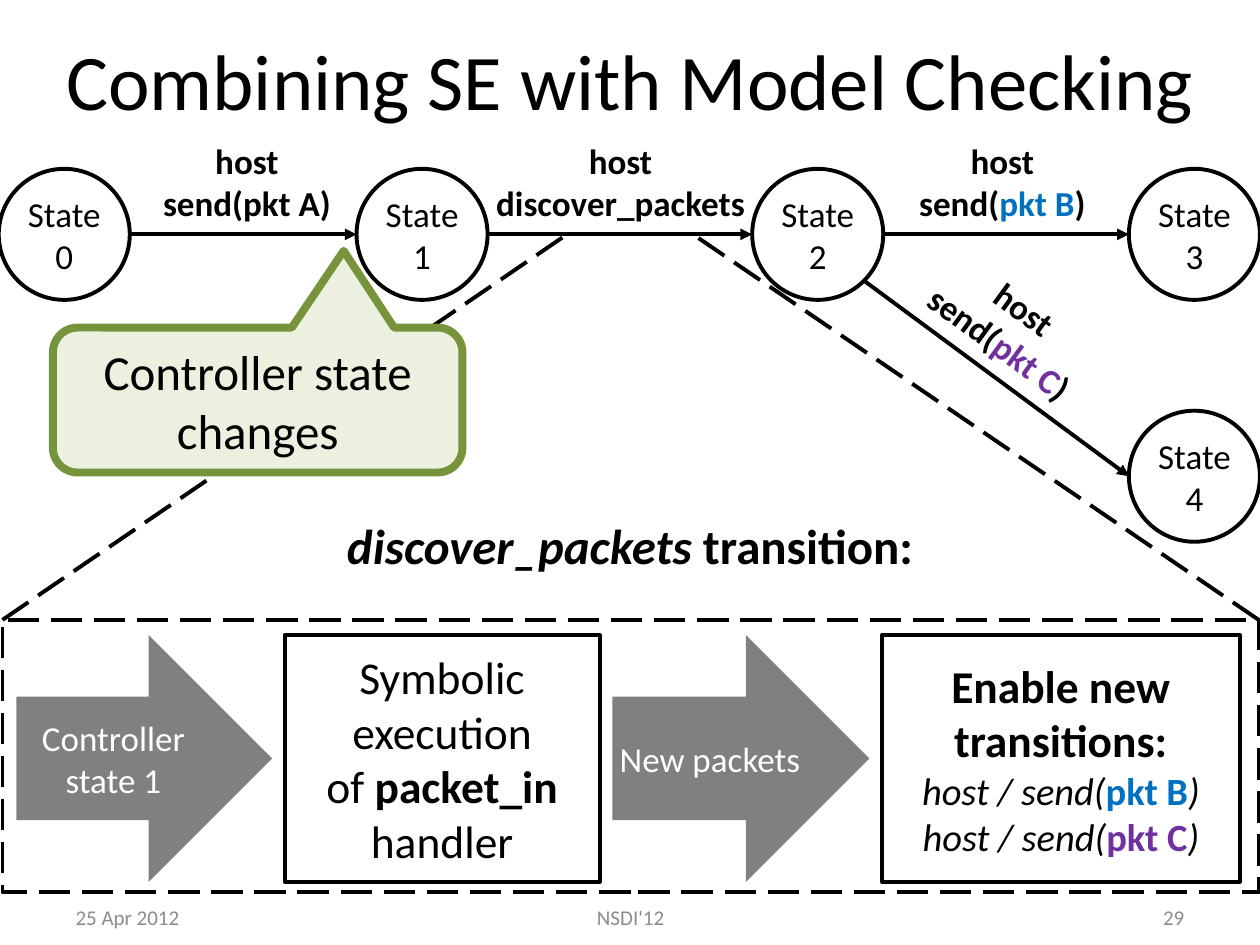
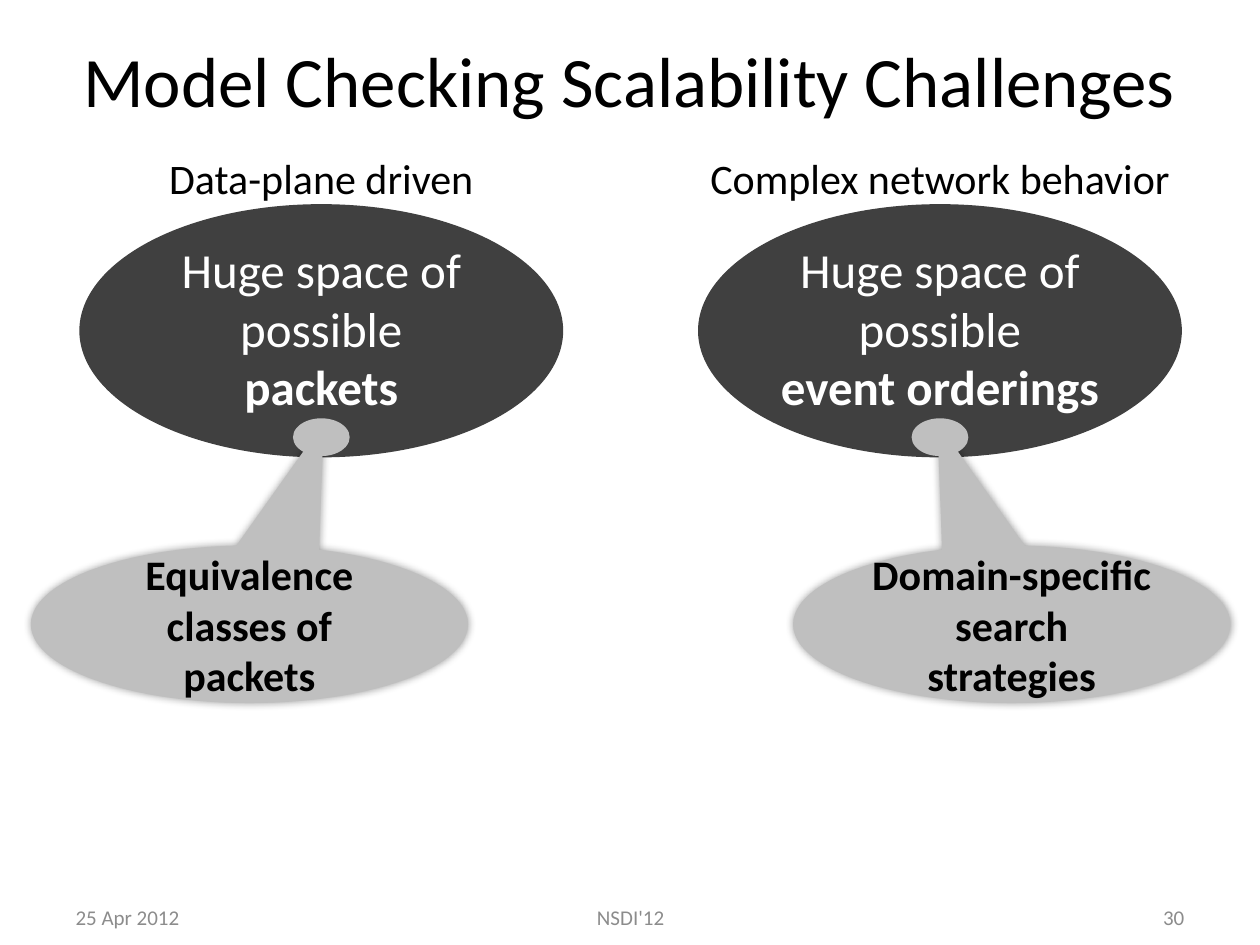
from copy import deepcopy
from dataclasses import dataclass

from lxml.etree import SubElement
from pptx import Presentation
from pptx.dml.color import RGBColor
from pptx.enum.dml import MSO_LINE_DASH_STYLE as Dash
from pptx.enum.shapes import MSO_CONNECTOR as Connector, MSO_SHAPE as Preset
from pptx.enum.text import MSO_ANCHOR as Anchor, MSO_AUTO_SIZE as Fit, PP_ALIGN as Align
from pptx.oxml.ns import qn
from pptx.util import Inches, Pt


@dataclass(frozen=True)
class Theme:
    """Colours, type sizes and line widths of the deck."""
    font: str = "Calibri"
    ink: str = "000000"
    paper: str = "FFFFFF"
    footer: str = "8C8C8C"
    arrow: str = "808080"
    problem: str = "404040"
    remedy: str = "BFBFBF"
    note: str = "EBF1DE"
    note_edge: str = "77933C"
    packet_b: str = "0070C0"
    packet_c: str = "7030A0"
    small: float = 12
    label: float = 20
    call: float = 22
    heading: float = 24
    step: float = 26
    large: float = 28
    line: float = 2.25
    thick: float = 4.5


@dataclass(frozen=True)
class Box:
    """A rectangle on a grid of 100 columns by 75 rows."""
    left: float
    top: float
    width: float
    height: float

    def inner(self, left, top, width, height):
        """Return a box placed relative to this one."""
        return Box(self.left + left, self.top + top, width, height)

    def emu(self):
        """Return the box as slide lengths."""
        return [grid(value) for value in (self.left, self.top, self.width, self.height)]


@dataclass(frozen=True)
class Span:
    """A stretch of text with one format."""
    text: str
    size: float
    color: str = Theme.ink
    bold: bool = False
    italic: bool = False


THEME = Theme()
CELL = 0.1
COLUMNS, ROWS = 100, 75
STATE_SIZE = 10.4
TIGHT = (0, 0.18)
SNUG = (0.04, 0.18)
WIDE = (0.36, 0.18)
NORMAL = (0.1, 0.05)


def grid(cells):
    """Convert grid cells to a slide length."""
    return Inches(cells * CELL)


def write(shape, spans, inset=NORMAL, align=Align.CENTER, anchor=Anchor.MIDDLE, wrap=True):
    """Fill a shape with one paragraph of formatted spans."""
    frame = shape.text_frame
    frame.text = ""
    frame.word_wrap = wrap
    frame.auto_size = Fit.NONE if wrap else Fit.SHAPE_TO_FIT_TEXT
    frame.vertical_anchor = anchor
    frame.margin_left = frame.margin_right = Inches(inset[0])
    frame.margin_top = frame.margin_bottom = Inches(inset[1])
    para = frame.paragraphs[0]
    para.alignment = align
    for span in spans:
        for number, line in enumerate(span.text.split("\n")):
            if number:
                para.add_line_break()
            if line:
                run = para.add_run()
                run.text = line
                font = run.font
                font.name, font.size = THEME.font, Pt(span.size)
                font.bold, font.italic = span.bold, span.italic
                font.color.rgb = RGBColor.from_string(span.color)


def draw(page, preset, box, fill=None, edge=None, width=THEME.line):
    """Add a preset shape with flat fill and outline."""
    shape = page.shapes.add_shape(preset, *box.emu())
    shape.shadow.inherit = False
    if fill:
        shape.fill.solid()
        shape.fill.fore_color.rgb = RGBColor.from_string(fill)
    else:
        shape.fill.background()
    if edge:
        shape.line.color.rgb = RGBColor.from_string(edge)
        shape.line.width = Pt(width)
    else:
        shape.line.fill.background()
    return shape


def label(page, box, spans, inset=NORMAL):
    """Add a centred text box that keeps its line breaks."""
    text = page.shapes.add_textbox(*box.emu())
    write(text, spans, inset, anchor=Anchor.TOP, wrap=False)
    return text


def connect(page, start, end, dashed=False):
    """Add a dashed line, or a solid one with an arrowhead."""
    points = [grid(value) for value in (*start, *end)]
    line = page.shapes.add_connector(Connector.STRAIGHT, *points)
    line.line.color.rgb = RGBColor.from_string(THEME.ink)
    line.line.width = Pt(THEME.line)
    if dashed:
        line.line.dash_style = Dash.LONG_DASH
    else:
        SubElement(line.line._get_or_add_ln(), qn("a:tailEnd"), type="triangle")
    SubElement(line._element.spPr, qn("a:effectLst"))


def add_glow(shape):
    """Give a shape a soft shadow on all sides."""
    effects = shape._element.spPr.find(qn("a:effectLst"))
    shadow = SubElement(effects, qn("a:outerShdw"), blurRad=str(Pt(5)), dist="0", dir="0")
    color = SubElement(shadow, qn("a:srgbClr"), val=THEME.ink)
    SubElement(color, qn("a:alpha"), val="40000")


def start_page(deck, title, size, number, width):
    """Add a slide with its title and three footers."""
    layout = deck.slide_layouts.get_by_name("Title Only")
    page = deck.slides.add_slide(layout)
    heading = page.shapes.title
    frame = Box((COLUMNS - width) / 2, 0, width, 12.5)
    heading.left, heading.top, heading.width, heading.height = frame.emu()
    write(heading, [Span(title, size)])
    footers = {
        10: ("25 Apr 2012", Align.LEFT, Box(5, 70.8, 23.3, 4)),
        11: ("NSDI'12", Align.CENTER, Box(34.2, 70.8, 31.7, 4)),
        12: (str(number), Align.RIGHT, Box(71.7, 70.8, 23.3, 4)),
    }
    for holder in layout.placeholders:
        if holder.placeholder_format.idx in footers:
            page.shapes._spTree.append(deepcopy(holder._element))
    for index, (text, align, box) in footers.items():
        footer = page.placeholders[index]
        footer.left, footer.top, footer.width, footer.height = box.emu()
        write(footer, [Span(text, THEME.small, THEME.footer)], align=align)
    return page


def send(packet, color, size=THEME.label):
    """Return the spans of a host sending a coloured packet."""
    return [Span("host\nsend(", size, bold=True), Span(packet, size, color, bold=True),
            Span(")", size, bold=True)]


def state_chain(page, box):
    """Draw the states and the transitions between them."""
    radius = STATE_SIZE / 2
    centres = [(box.left + x, box.top + y) for x, y in
               ((5.1, 9.3), (33.5, 9.3), (64.9, 9.3), (94.8, 9.3), (94.8, 28.5))]
    for number, (x, y) in enumerate(centres):
        state = draw(page, Preset.FLOWCHART_CONNECTOR,
                     Box(x - radius, y - radius, STATE_SIZE, STATE_SIZE), THEME.paper, THEME.ink)
        write(state, [Span(f"State\n{number}", THEME.label)], TIGHT)
    for (x, y), (next_x, next_y) in zip(centres[:3], centres[1:4]):
        connect(page, (x + radius, y), (next_x - radius, next_y))
    diagonal = radius * 0.71
    x, y = centres[2]
    end_x, end_y = centres[4]
    connect(page, (x + diagonal, y + diagonal), (end_x - radius, end_y))

    transitions = (
        (19.6, 0, 20.8, 0, [Span("host\nsend(pkt A)", THEME.label, bold=True)]),
        (49.25, 0, 27.3, 0, [Span("host\ndiscover_packets", THEME.label, bold=True)]),
        (79.55, 0, 20.7, 0, send("pkt B", THEME.packet_b)),
        (80.3, 11.4, 20.6, 36.2, send("pkt C", THEME.packet_c)),
    )
    for centre, top, width, angle, spans in transitions:
        text = label(page, box.inner(centre - width / 2, top, width, 10.4), spans, WIDE)
        text.rotation = angle


def transition_panel(page, box, source):
    """Draw the enlarged transition, zoomed out of its source span."""
    right = box.left + box.width
    left_source, right_source, level = source
    connect(page, (box.left, box.top), (left_source, level), dashed=True)
    connect(page, (right, box.top), (right_source, level), dashed=True)
    frame = draw(page, Preset.RECTANGLE, box, edge=THEME.ink)
    frame.line.dash_style = Dash.LONG_DASH
    label(page, box.inner(23.4, -10.1, 52.8, 8.4),
          [Span("discover_packets", THEME.large, bold=True, italic=True),
           Span(" transition:", THEME.large, bold=True)], WIDE)

    step, call = THEME.step, THEME.call
    execution = [Span("Symbolic\nexecution\nof ", step), Span("packet_in\n", step, bold=True),
                 Span("handler", step)]
    enabling = [Span("Enable new transitions:\n", step, bold=True)]
    for packet, color, ending in (("pkt B", THEME.packet_b, ")\n"), ("pkt C", THEME.packet_c, ")")):
        enabling += [Span("host / send(", call, italic=True), Span(packet, call, color, bold=True),
                     Span(ending, call, italic=True)]
    steps = (
        (20.3, True, [Span("Controller state 1", THEME.label, THEME.paper)]),
        (25, False, execution),
        (20.4, True, [Span("New packets", THEME.label, THEME.paper)]),
        (28.4, False, enabling),
    )
    offset, gap = 1.1, 1
    for width, is_arrow, spans in steps:
        place = box.inner(offset, 1.2, width, 19.6)
        if is_arrow:
            shape = draw(page, Preset.RIGHT_ARROW, place, THEME.arrow)
        else:
            shape = draw(page, Preset.RECTANGLE, place, THEME.paper, THEME.ink)
        write(shape, spans, TIGHT if is_arrow else SNUG)
        offset += width + gap


def state_note(page, box):
    """Draw the callout on the controller state."""
    note = draw(page, Preset.ROUNDED_RECTANGULAR_CALLOUT, box, THEME.note, THEME.note_edge,
                THEME.thick)
    for index, value in enumerate((0.21, -1.03, 0.17)):
        note.adjustments[index] = value
    write(note, [Span("Controller state changes", THEME.large)])


def challenge(page, box, heading, heading_width, subject, remedy, mirrored):
    """Draw a challenge and, below it, the remedy that points to it."""
    middle = box.width / 2
    draw(page, Preset.OVAL, box.inner(0, 4.6, box.width, 20.1), THEME.problem)
    label(page, box.inner(middle - 16, 6.9, 32, 17.8),
          [Span("Huge space of\npossible\n", THEME.large, THEME.paper),
           Span(subject, THEME.large, THEME.paper, bold=True)])
    label(page, box.inner(middle - heading_width / 2, 0, heading_width, 5),
          [Span(heading, THEME.heading)])
    width = 34.7
    shift = 5.7 if mirrored else -5.7
    callout = draw(page, Preset.OVAL_CALLOUT,
                   box.inner(middle + shift - width / 2, 31.7, width, 12.5), THEME.remedy)
    callout.adjustments[0], callout.adjustments[1] = 0.17, -1.28
    if mirrored:
        callout._element.spPr.xfrm.set("flipH", "1")
    add_glow(callout)
    write(callout, [Span(remedy, THEME.heading, bold=True)])
    draw(page, Preset.OVAL, box.inner(middle - 2.25, 21.6, 4.5, 3), THEME.remedy)


def build():
    """Build and save the deck."""
    deck = Presentation()
    deck.slide_width, deck.slide_height = grid(COLUMNS), grid(ROWS)

    page = start_page(deck, "Combining SE with Model Checking", 45, 29, 91.7)
    state_chain(page, Box(0, 9.3, COLUMNS, 33.7))
    transition_panel(page, Box(0.2, 49.2, 99.7, 21.6), (45, 55, 18.6))
    state_note(page, Box(4.2, 26, 32.5, 11.5))

    page = start_page(deck, "Model Checking Scalability Challenges", 40.5, 30, 90)
    challenge(page, Box(6.3, 11.6, 38.4, 44.2), "Data-plane driven", 26.4,
              "packets", "Equivalence\nclasses of\npackets", False)
    challenge(page, Box(55.4, 11.6, 38.4, 44.2), "Complex network behavior", 38.8,
              "event orderings", "Domain-specific search strategies", True)
    deck.save("out.pptx")


build()
